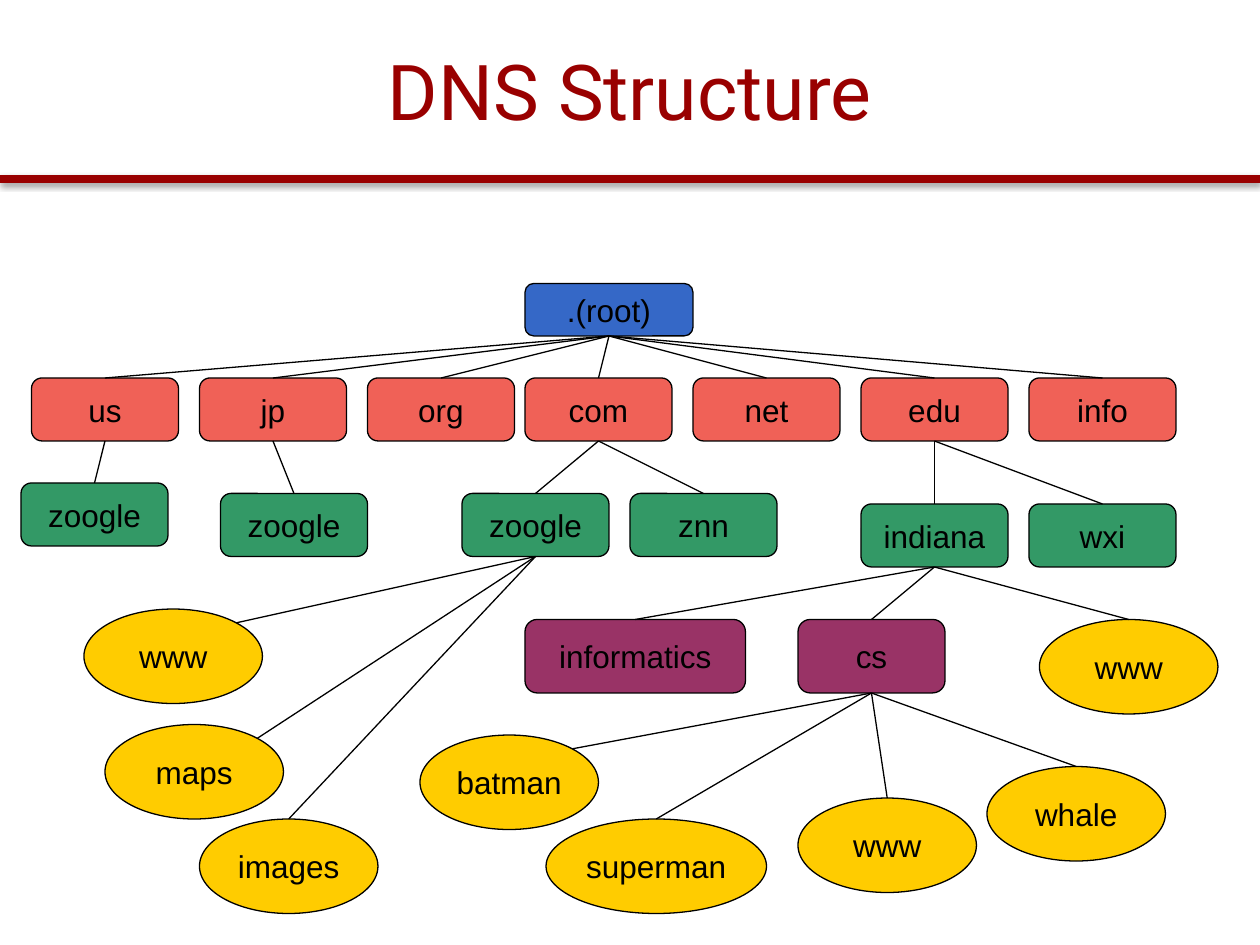
from dataclasses import dataclass

from lxml.etree import SubElement
from pptx import Presentation
from pptx.dml.color import RGBColor
from pptx.enum.shapes import MSO_CONNECTOR, MSO_SHAPE
from pptx.enum.text import MSO_ANCHOR, PP_ALIGN
from pptx.oxml.ns import qn
from pptx.shapes.autoshape import Shape
from pptx.shapes.connector import Connector
from pptx.util import Inches, Pt

CRIMSON = RGBColor(0x99, 0x00, 0x00)
BLACK = RGBColor(0x00, 0x00, 0x00)
BLUE = RGBColor(0x35, 0x68, 0xC7)
RED = RGBColor(0xF0, 0x61, 0x57)
GREEN = RGBColor(0x33, 0x99, 0x66)
PURPLE = RGBColor(0x99, 0x33, 0x66)
YELLOW = RGBColor(0xFF, 0xCC, 0x00)

GRID = Inches(1 / 12)
TOP, BOTTOM = 0, 2
ELLIPSE_TOP_RIGHT = 7


@dataclass(frozen=True)
class Node:
    """A name in the tree; x, y, width and height are in grid units."""
    name: str
    x: int
    y: int
    width: int
    height: int
    color: RGBColor
    children: tuple["Node", ...] = ()
    geometry: MSO_SHAPE = MSO_SHAPE.ROUNDED_RECTANGLE
    site: int = TOP


def top_level(name: str, x: int, *children: Node) -> Node:
    return Node(name, x, 36, 14, 6, RED, children)


def domain(name: str, x: int, y: int, *children: Node) -> Node:
    return Node(name, x, y, 14, 6, GREEN, children)


def subdomain(name: str, x: int, width: int, *children: Node) -> Node:
    return Node(name, x, 59, width, 7, PURPLE, children)


def host(name: str, x: int, y: int, width: int = 17, site: int = TOP) -> Node:
    return Node(name, x, y, width, 9, YELLOW, (), MSO_SHAPE.OVAL, site)


ROOT = Node(".(root)", 50, 27, 16, 5, BLUE, (
    top_level("us", 3, domain("zoogle", 2, 46)),
    top_level("jp", 19, domain("zoogle", 21, 47)),
    top_level("org", 35),
    top_level(
        "com", 50,
        domain("zoogle", 44, 47,
               host("www", 8, 58, site=ELLIPSE_TOP_RIGHT),
               host("maps", 10, 69, site=ELLIPSE_TOP_RIGHT),
               host("images", 19, 78)),
        domain("znn", 60, 47)),
    top_level("net", 66),
    top_level(
        "edu", 82,
        domain("indiana", 82, 48,
               subdomain("informatics", 50, 21),
               subdomain("cs", 76, 14,
                         host("batman", 40, 70, site=ELLIPSE_TOP_RIGHT),
                         host("superman", 52, 78, width=21),
                         host("www", 76, 76),
                         host("whale", 94, 73)),
               host("www", 99, 59)),
        domain("wxi", 98, 48)),
    top_level("info", 98),
))


def add_line(slide, color: RGBColor, width: float, x1=0, y1=0, x2=0, y2=0) -> Connector:
    """Add a straight line whose effect list is empty, so it has no shadow."""
    line = slide.shapes.add_connector(MSO_CONNECTOR.STRAIGHT, x1, y1, x2, y2)
    line.line.color.rgb = color
    line.line.width = Pt(width)
    SubElement(line._element.spPr, qn("a:effectLst"))
    return line


def add_title_rule(slide) -> None:
    y = Inches(1.42)
    rule = add_line(slide, CRIMSON, 5, 0, y, Inches(10), y)
    effects = rule._element.spPr.find(qn("a:effectLst"))
    shadow = SubElement(effects, qn("a:outerShdw"), blurRad="40000",
                        dist="20000", dir="5400000", rotWithShape="0")
    tint = SubElement(shadow, qn("a:srgbClr"), val="000000")
    SubElement(tint, qn("a:alpha"), val="38000")


def add_node(slide, node: Node) -> Shape:
    sp = slide.shapes.add_shape(node.geometry, node.x * GRID, node.y * GRID,
                                node.width * GRID, node.height * GRID)
    sp.shadow.inherit = False
    sp.fill.solid()
    sp.fill.fore_color.rgb = node.color
    sp.line.color.rgb = BLACK
    sp.line.width = Pt(0.75)
    tf = sp.text_frame
    tf.word_wrap = False
    tf.vertical_anchor = MSO_ANCHOR.MIDDLE
    p = tf.paragraphs[0]
    p.text = node.name
    p.alignment = PP_ALIGN.CENTER
    p.font.size = Pt(18)
    p.font.name = "Arial"
    p.font.color.rgb = BLACK
    return sp


def add_tree(slide, node: Node) -> Shape:
    """Draw a node and all below it, each child joined to its parent."""
    parent = add_node(slide, node)
    for child in node.children:
        sp = add_tree(slide, child)
        link = add_line(slide, BLACK, 0.75)
        link.begin_connect(parent, BOTTOM)
        if child.site == ELLIPSE_TOP_RIGHT:
            # begin/end_connect place ends for four sites only
            diagonal = 0.5 ** 0.5
            link.end_x = sp.left + round(sp.width * (1 + diagonal) / 2)
            link.end_y = sp.top + round(sp.height * (1 - diagonal) / 2)
        else:
            link.end_connect(sp, child.site)
    return parent


def add_title(slide, text: str) -> None:
    title = slide.shapes.title
    title.left, title.top = Inches(0.5), Inches(0.09)
    title.width, title.height = Inches(9), Inches(1.25)
    tf = title.text_frame
    tf.vertical_anchor = MSO_ANCHOR.MIDDLE
    p = tf.paragraphs[0]
    p.text = text
    p.alignment = PP_ALIGN.CENTER
    p.font.size = Pt(44)
    p.font.name = "Roboto"
    p.font.color.rgb = CRIMSON


def main() -> None:
    prs = Presentation()
    prs.slide_width, prs.slide_height = Inches(10), Inches(7.5)
    slide = prs.slides.add_slide(prs.slide_layouts[5])
    add_title_rule(slide)
    add_tree(slide, ROOT)
    add_title(slide, "DNS Structure")
    prs.save("out.pptx")


if __name__ == "__main__":
    main()
